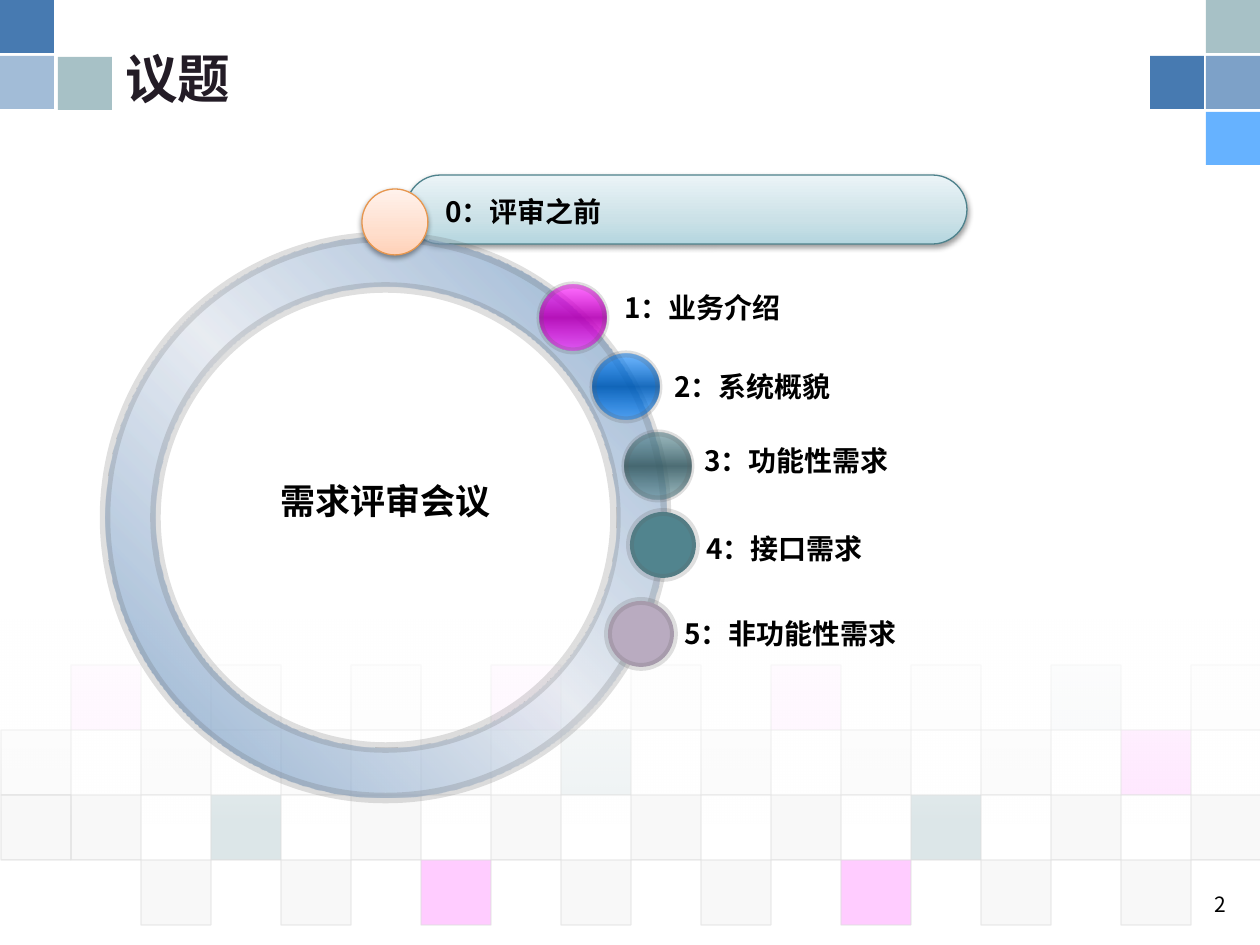
from dataclasses import dataclass
from lxml import etree
from pptx import Presentation
from pptx.dml.color import RGBColor
from pptx.enum.shapes import MSO_SHAPE
from pptx.enum.text import MSO_ANCHOR, PP_ALIGN
from pptx.oxml.ns import qn
from pptx.util import Emu, Pt

RECT, ROUND = MSO_SHAPE.RECTANGLE, MSO_SHAPE.ROUNDED_RECTANGLE
OVAL, DONUT = MSO_SHAPE.OVAL, MSO_SHAPE.DONUT
LEFT, MID, RIGHT = PP_ALIGN.LEFT, PP_ALIGN.CENTER, PP_ALIGN.RIGHT
TOP, CENTER = MSO_ANCHOR.TOP, MSO_ANCHOR.MIDDLE


@dataclass(frozen=True)
class Theme:
    font: str = "Noto Sans CJK SC"
    blue: str = "477AB1"
    sky: str = "0080FF"
    teal: str = "51848E"
    pink: str = "FF00FF"
    mauve: str = "B9ABC0"
    gray: str = "DDDDDD"
    pale: str = "EAEAEA"
    rim: str = "5F5F5F"
    mist: str = "DAE0EA"
    white: str = "FFFFFF"
    black: str = "000000"
    ink: str = "231C26"
    title: int = 30
    hub: int = 20
    label: int = 16
    page: int = 12


T = Theme()
SCALE = 914400 / 126
WIDE, HIGH = 1260, 945

TITLE, HUB, PAGE = "议题", "需求评审会议", "2"


def gloss(edge, core):
    return [(0, edge, 55), (50, core, 90), (100, edge, 55)], 90


PEACH = [(0, "FFD1B8", 100), (35, "FFDECC", 100), (100, "FFF2EC", 100)], 270
AQUA = [(0, "B4D6DF", 100), (35, "CBE1E7", 100), (100, "EBF4F7", 100)], 270
STEEL = [(0, T.blue, 60), (50, T.mist, 60), (100, T.blue, 60)], 315
FADE = [(0, T.white, 90), (100, T.white, 0)], 90
LIT = ("E7964E", 0.75, 100)
THIN, THICK = (T.rim, 4, 20), (T.rim, 4.5, 20)

TOPICS = [
    ("0：评审之前", (362, 189), (433, 188), PEACH, LIT),
    ("1：业务介绍", (540, 285), (612, 284), gloss(T.pink, "B600B6"), THIN),
    ("2：系统概貌", (593, 354), (662, 363), gloss(T.sky, "005CB6"), THIN),
    ("3：功能性需求", (625, 433), (692, 437), gloss(T.teal, "3A5E66"), THIN),
    ("4：接口需求", (630, 512), (694, 525), (T.teal, 100), THICK),
    ("5：非功能性需求", (608, 601), (672, 610), (T.mauve, 100), THICK),
]
CORNERS = [
    (0, 0, T.blue, 100), (0, 56, T.blue, 50), (58, 57, T.teal, 50),
    (1206, 0, T.teal, 50), (1206, 56, T.blue, 70),
    (1206, 112, T.sky, 60), (1150, 56, T.blue, 100),
]
TILES = [
    (".p.e.e.p.g.p.e.t.e", 5),
    ("g.g.g.g.t.g.g.g.p", 10),
    ("gg.t.g.g.g.g.t.g.g", 20),
    ("..g.g.p.g.g.p.g.g", 20),
]
HUES = {"p": T.pink, "t": T.teal, "g": T.gray, "e": T.pale}


def px(*nums):
    return [Emu(round(n * SCALE)) for n in nums]


def fade(color, alpha):
    if alpha < 100:
        etree.SubElement(color, qn("a:alpha"), val=str(alpha * 1000))


def tint(node, color, alpha):
    clr = etree.SubElement(node, qn("a:srgbClr"), val=color)
    fade(clr, alpha)


def blend(shape, stops, angle):
    shape.fill.gradient()
    grad = shape._element.spPr.find(qn("a:gradFill"))
    steps = grad.find(qn("a:gsLst"))
    for old in list(steps):
        steps.remove(old)
    for pos, color, alpha in stops:
        step = etree.SubElement(steps, qn("a:gs"), pos=str(pos * 1000))
        tint(step, color, alpha)
    grad.find(qn("a:lin")).set("ang", str(angle * 60000))


def draw(slide, kind, box, fill, line=None, glow=False):
    shape = slide.shapes.add_shape(kind, *px(*box))
    props = shape._element.spPr
    shape.shadow.inherit = False
    if isinstance(fill[0], list):
        blend(shape, *fill)
    else:
        color, alpha = fill
        shape.fill.solid()
        shape.fill.fore_color.rgb = RGBColor.from_string(color)
        fade(props.find(qn("a:solidFill"))[0], alpha)
    if line:
        color, width, alpha = line
        shape.line.color.rgb = RGBColor.from_string(color)
        shape.line.width = Pt(width)
        fade(props.find(qn("a:ln")).find(qn("a:solidFill"))[0], alpha)
    else:
        shape.line.fill.background()
    if glow:
        drop = etree.SubElement(
            props.find(qn("a:effectLst")), qn("a:outerShdw"),
            blurRad=str(Pt(3.1)), dist=str(Pt(1.6)), dir="5400000", rotWithShape="0")
        tint(drop, T.black, 38)
    return shape


def write(slide, text, box, size, align=LEFT, color=T.black, bold=True, anchor=TOP):
    frame = slide.shapes.add_textbox(*px(*box)).text_frame
    frame.word_wrap = True
    frame.vertical_anchor = anchor
    frame.text = text
    para = frame.paragraphs[0]
    para.alignment = align
    font = para.runs[0].font
    font.name, font.size, font.bold = T.font, Pt(size), bold
    font.color.rgb = RGBColor.from_string(color)
    etree.SubElement(font._element, qn("a:ea"), typeface=T.font)


def main():
    deck = Presentation()
    deck.slide_width, deck.slide_height = px(WIDE, HIGH)
    slide = deck.slides.add_slide(deck.slide_layouts[6])

    for row, (marks, alpha) in enumerate(TILES):
        for col, mark in enumerate(marks):
            if mark in HUES:
                box = (1 + 70 * col, 665 + 65 * row, 70, 65)
                draw(slide, RECT, box, (HUES[mark], alpha), (T.gray, 0.75, 60))
    draw(slide, RECT, (0, 620, WIDE, 204), FADE)
    for x, y, color, alpha in CORNERS:
        draw(slide, RECT, (x, y, 54, 53), (color, alpha))

    write(slide, TITLE, (113, 39, 1021, 78), T.title, color=T.ink, anchor=CENTER)
    bar = draw(slide, ROUND, (406, 175, 561, 69), AQUA, ("4E828C", 0.75, 100), True)
    bar.adjustments[0] = 0.5
    ring = draw(slide, DONUT, (105, 237, 561, 561), STEEL, (T.rim, 6, 20))
    ring.adjustments[0] = 0.09
    write(slide, HUB, (186, 473, 399, 55), T.hub, MID)

    for text, ball, spot, fill, line in TOPICS:
        draw(slide, OVAL, (*ball, 66, 66), fill, line, line is LIT)
        write(slide, text, (*spot, 445, 47), T.label)
    write(slide, PAGE, (1176, 885, 63, 44), T.page, RIGHT, bold=False)
    deck.save("out.pptx")


if __name__ == "__main__":
    main()
